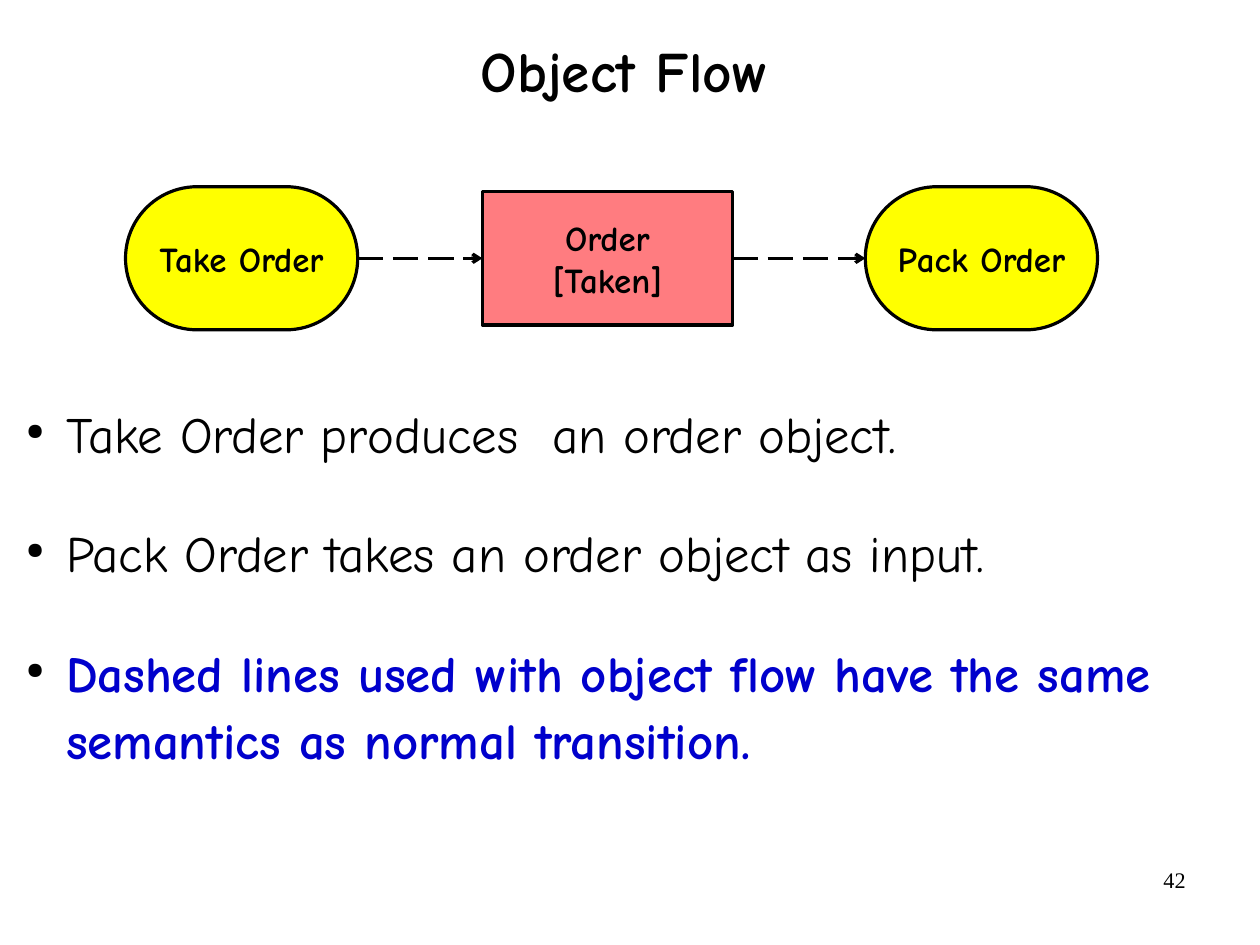
import pptx
import pptx.dml.color
import pptx.enum.dml
import pptx.enum.shapes
import pptx.enum.text
import pptx.oxml.ns
import pptx.util
from lxml import etree

Cm = pptx.util.Cm
Pt = pptx.util.Pt
RGBColor = pptx.dml.color.RGBColor
Align = pptx.enum.text.PP_ALIGN
Anchor = pptx.enum.text.MSO_ANCHOR
Shape = pptx.enum.shapes.MSO_SHAPE
qn = pptx.oxml.ns.qn

BLACK = RGBColor(0x00, 0x00, 0x00)
BLUE = RGBColor(0x00, 0x00, 0xCC)
YELLOW = RGBColor(0xFF, 0xFF, 0x00)
PINK = RGBColor(0xFF, 0x7C, 0x80)
FONT = "Comic Neue"
FLOW_MIDDLE = 5.74
LEFT_SIDE, RIGHT_SIDE = 1, 3


def set_font(para, size, color=BLACK, bold=False, name=FONT):
    para.font.name = name
    para.font.size = Pt(size)
    para.font.bold = bold
    para.font.color.rgb = color


def set_margins(frame, across, down):
    frame.margin_left = frame.margin_right = Cm(across)
    frame.margin_top = frame.margin_bottom = Cm(down)


def add_text_frame(page, left, top, width, height, across=0, down=0):
    box = page.shapes.add_textbox(Cm(left), Cm(top), Cm(width), Cm(height))
    frame = box.text_frame
    frame.word_wrap = True
    set_margins(frame, across, down)
    return frame


def add_title(page, text):
    frame = add_text_frame(page, 1.93, -0.08, 23.88, 3.48)
    frame.vertical_anchor = Anchor.MIDDLE
    para = frame.paragraphs[0]
    para.text = text
    para.alignment = Align.CENTER
    para.line_spacing = 0.88
    set_font(para, 36, bold=True)


def add_page_number(page, text):
    frame = add_text_frame(page, 20.07, 19.13, 6.53, 1.45, 0.25, 0.13)
    para = frame.paragraphs[0]
    para.text = text
    para.alignment = Align.RIGHT
    set_font(para, 14, name="Times New Roman")


def add_bullet(para):
    """Give the paragraph a small black dot with a hanging indent."""
    properties = para._p.get_or_add_pPr()
    properties.set("marL", str(Cm(1.17)))
    properties.set("indent", str(Cm(-0.89)))
    color = etree.SubElement(properties, qn("a:buClr"))
    etree.SubElement(color, qn("a:srgbClr"), val=str(BLACK))
    etree.SubElement(properties, qn("a:buSzPct"), val="45000")
    etree.SubElement(properties, qn("a:buChar"), char="●")


def add_bullet_list(page, items):
    frame = add_text_frame(page, 0.3, 8.81, 28, 13.03)
    for index, (text, color, bold) in enumerate(items):
        para = frame.add_paragraph() if index else frame.paragraphs[0]
        para.text = text
        add_bullet(para)
        para.line_spacing = 1.1
        para.space_before = Pt(19.2 if index else 0)
        para.space_after = Pt(13.8)
        set_font(para, 32, color, bold)


def add_node(page, kind, left, width, height, fill, lines):
    """Add a flow node centred on the middle line of the diagram."""
    node = page.shapes.add_shape(
        kind, Cm(left), Cm(FLOW_MIDDLE - height / 2), Cm(width), Cm(height))
    node.shadow.inherit = False
    node.fill.solid()
    node.fill.fore_color.rgb = fill
    node.line.color.rgb = BLACK
    node.line.width = Pt(2)
    frame = node.text_frame
    frame.word_wrap = False
    frame.vertical_anchor = Anchor.MIDDLE
    set_margins(frame, 0.28, 0.15)
    for index, text in enumerate(lines):
        para = frame.add_paragraph() if index else frame.paragraphs[0]
        para.text = text
        para.alignment = Align.CENTER
        set_font(para, 22, bold=True)
    return node


def add_action(page, left, text):
    action = add_node(page, Shape.ROUNDED_RECTANGLE, left, 5.16, 3.18, YELLOW, [text])
    action.adjustments[0] = 0.5
    return action


def add_flow(page, source, target):
    flow = page.shapes.add_connector(pptx.enum.shapes.MSO_CONNECTOR.STRAIGHT, 0, 0, 0, 0)
    flow.begin_connect(source, RIGHT_SIDE)
    flow.end_connect(target, LEFT_SIDE)
    flow.line.color.rgb = BLACK
    flow.line.width = Pt(2)
    flow.line.dash_style = pptx.enum.dml.MSO_LINE.LONG_DASH
    etree.SubElement(flow.line._get_or_add_ln(), qn("a:tailEnd"), type="arrow")
    etree.SubElement(flow._element.spPr, qn("a:effectLst"))


def main():
    deck = pptx.Presentation()
    deck.slide_width = Cm(28)
    deck.slide_height = Cm(21)
    page = deck.slides.add_slide(deck.slide_layouts[6])

    add_page_number(page, "42")
    add_title(page, "Object Flow")
    add_bullet_list(page, [
        ("Take Order produces  an order object.", BLACK, False),
        ("Pack Order takes an order object as input.", BLACK, False),
        ("Dashed lines used with object flow have the same semantics "
         "as normal transition.", BLUE, True),
    ])

    order = add_node(page, Shape.RECTANGLE, 10.72, 5.56, 2.97, PINK, ["Order", "[Taken]"])
    take_order = add_action(page, 2.79, "Take Order")
    pack_order = add_action(page, 19.23, "Pack Order")
    add_flow(page, take_order, order)
    add_flow(page, order, pack_order)

    deck.save("out.pptx")


if __name__ == "__main__":
    main()
